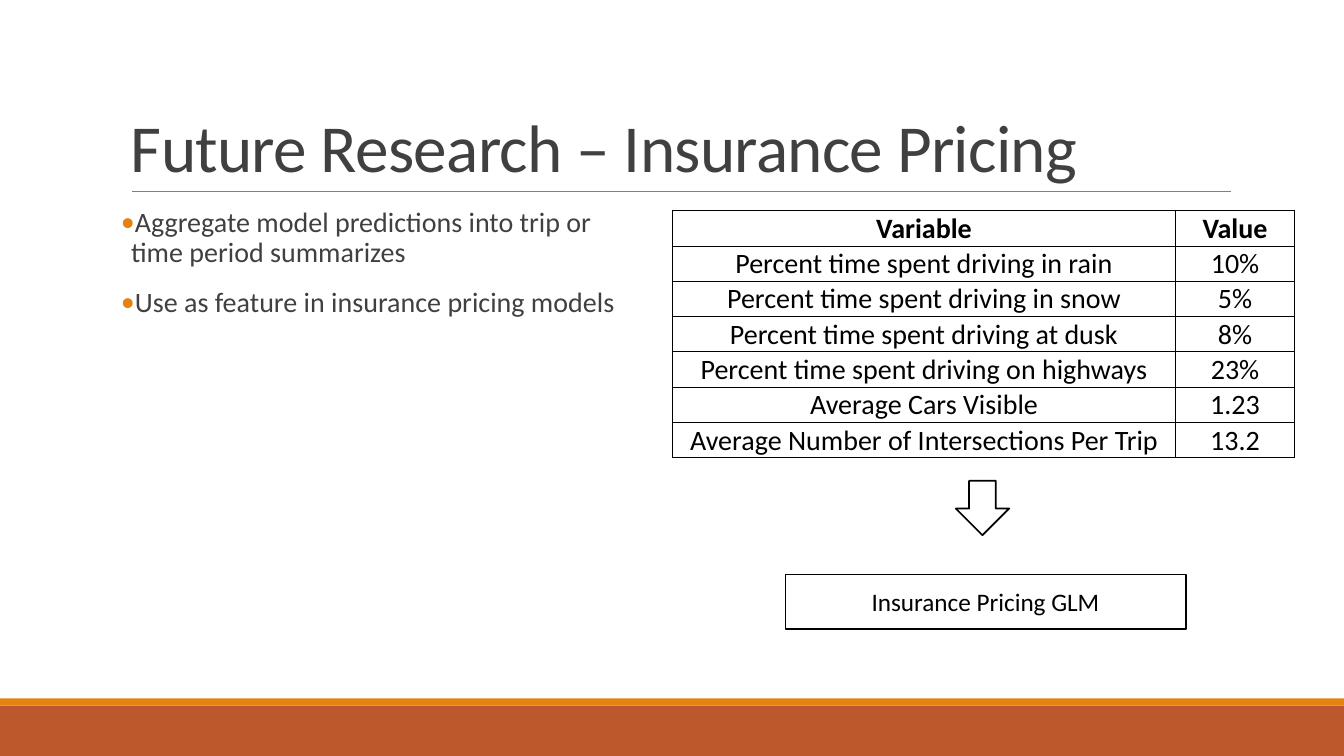
import pptx
import pptx.util
import pptx.dml.color
import pptx.enum.shapes
import pptx.enum.text
import pptx.oxml
import pptx.oxml.ns
from lxml import etree

Inches = pptx.util.Inches
Pt = pptx.util.Pt
SHAPE = pptx.enum.shapes.MSO_SHAPE
ALIGN = pptx.enum.text.PP_ALIGN
ANCHOR = pptx.enum.text.MSO_ANCHOR

FONT = "Calibri"
BLACK, WHITE, GREY = "000000", "FFFFFF", "404040"
ORANGE, RUST = "E48312", "BD582C"

BULLETS = [
    "Aggregate model predictions into trip or time period summarizes",
    "Use as feature in insurance pricing models",
]
VARIABLES = [
    ("Variable", "Value"),
    ("Percent time spent driving in rain", "10%"),
    ("Percent time spent driving in snow", "5%"),
    ("Percent time spent driving at dusk", "8%"),
    ("Percent time spent driving on highways", "23%"),
    ("Average Cars Visible", "1.23"),
    ("Average Number of Intersections Per Trip", "13.2"),
]


def rgb(color):
    return pptx.dml.color.RGBColor.from_string(color)


def add_child(parent, tag, **attrs):
    return etree.SubElement(parent, pptx.oxml.ns.qn(tag), attrs)


def write(p, text, size=20, color=BLACK, bold=False, align=ALIGN.LEFT,
          line_spacing=1.0, char_spacing=None):
    p.alignment = align
    p.line_spacing = line_spacing
    r = p.add_run()
    r.text = text
    r.font.name = FONT
    r.font.size = Pt(size)
    r.font.bold = bold
    r.font.color.rgb = rgb(color)
    if char_spacing is not None:
        r._r.get_or_add_rPr().set("spc", str(round(char_spacing * 100)))


def add_text_frame(s, left, top, width, height, anchor):
    tf = s.shapes.add_textbox(Inches(left), Inches(top), Inches(width), Inches(height)).text_frame
    tf.word_wrap = True
    tf.vertical_anchor = anchor
    return tf


def add_bullet(p):
    """Give the paragraph a hanging orange bullet."""
    pPr = p._p.get_or_add_pPr()
    pPr.set("marL", str(Inches(0.1)))
    pPr.set("indent", str(Inches(-0.1)))
    add_child(add_child(pPr, "a:buClr"), "a:srgbClr", val=ORANGE)
    add_child(pPr, "a:buFont", typeface=FONT)
    add_child(pPr, "a:buChar", char="•")


def add_bullets(s, items, left, top, width, height):
    tf = add_text_frame(s, left, top, width, height, ANCHOR.TOP)
    tf.margin_left = tf.margin_right = 0
    for i, item in enumerate(items):
        p = tf.add_paragraph() if i else tf.paragraphs[0]
        add_bullet(p)
        p.space_before = Pt(12 if i else 0)
        p.space_after = Pt(2)
        write(p, item, color=GREY, line_spacing=0.9)


def add_box(s, kind, left, top, width, height, fill, line=None):
    sp = s.shapes.add_shape(kind, Inches(left), Inches(top), Inches(width), Inches(height))
    sp.shadow.inherit = False
    sp.fill.solid()
    sp.fill.fore_color.rgb = rgb(fill)
    if line:
        sp.line.color.rgb = rgb(line)
        sp.line.width = Pt(1.25)
    else:
        sp.line.fill.background()
    return sp


def add_rule(s, x1, x2, y):
    line = s.shapes.add_connector(pptx.enum.shapes.MSO_CONNECTOR.STRAIGHT,
                                  Inches(x1), Inches(y), Inches(x2), Inches(y))
    line.line.color.rgb = rgb("808080")
    line.line.width = Pt(0.5)
    add_child(line._element.spPr, "a:effectLst")


def format_cell(cell):
    cell.vertical_anchor = ANCHOR.BOTTOM
    cell.margin_left = cell.margin_right = cell.margin_top = Inches(0.01)
    cell.margin_bottom = 0
    tcPr = cell._tc.get_or_add_tcPr()
    for side in ("a:lnL", "a:lnR", "a:lnT", "a:lnB"):
        ln = add_child(tcPr, side, w=str(Pt(0.5)))
        add_child(add_child(ln, "a:solidFill"), "a:srgbClr", val=BLACK)
    cell.fill.solid()
    cell.fill.fore_color.rgb = rgb(WHITE)


def add_variable_table(s, rows, left, top, col_widths, row_height):
    table = s.shapes.add_table(len(rows), len(col_widths), Inches(left), Inches(top),
                               Inches(sum(col_widths)), Inches(row_height * len(rows))).table
    table.horz_banding = table.first_row = False
    for col, width in zip(table.columns, col_widths):
        col.width = Inches(width)
    for i, row in enumerate(rows):
        table.rows[i].height = Inches(row_height)
        for j, text in enumerate(row):
            cell = table.cell(i, j)
            format_cell(cell)
            write(cell.text_frame.paragraphs[0], text, bold=i == 0, align=ALIGN.CENTER)


def main():
    prs = pptx.Presentation()
    prs.slide_width, prs.slide_height = Inches(13.33), Inches(7.5)
    s = prs.slides.add_slide(prs.slide_layouts[6])

    add_box(s, SHAPE.RECTANGLE, 0, 7, 13.33, 0.5, RUST)
    add_box(s, SHAPE.RECTANGLE, 0, 6.93, 13.33, 0.07, ORANGE)
    add_rule(s, 1.31, 12.21, 1.9)

    title = add_text_frame(s, 1.2, 0.31, 11, 1.59, ANCHOR.BOTTOM)
    write(title.paragraphs[0], "Future Research – Insurance Pricing", size=48, color=GREY,
          line_spacing=0.85, char_spacing=-0.5)
    add_bullets(s, BULLETS, 1.2, 2.02, 5.12, 4.4)

    add_variable_table(s, VARIABLES, 6.67, 2.09, (4.99, 1.18), 0.35)
    add_box(s, SHAPE.DOWN_ARROW, 9.48, 4.77, 0.53, 0.54, WHITE, BLACK)
    model = add_box(s, SHAPE.RECTANGLE, 7.79, 5.7, 3.97, 0.54, WHITE, BLACK)
    model.text_frame.vertical_anchor = ANCHOR.MIDDLE
    write(model.text_frame.paragraphs[0], "Insurance Pricing GLM", size=18, align=ALIGN.CENTER)

    prs.save("out.pptx")


if __name__ == "__main__":
    main()
